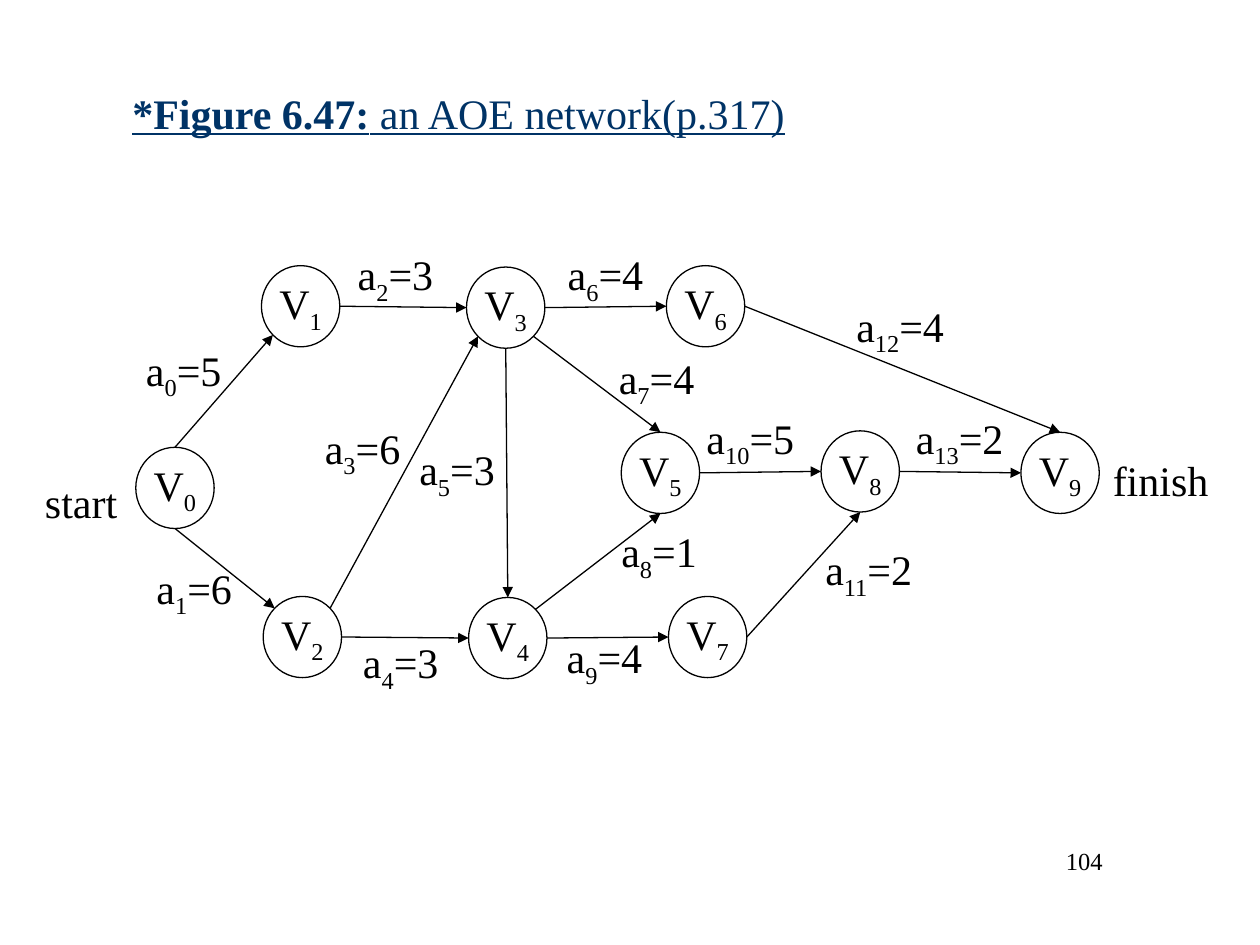
import math
from dataclasses import dataclass

import pptx
import pptx.dml.color
import pptx.enum.shapes
import pptx.enum.text
import pptx.oxml
import pptx.oxml.ns
import pptx.util
from pptx.util import Pt


@dataclass(frozen=True)
class Theme:
    font: str = "Times New Roman"
    ink: str = "000000"
    paper: str = "FFFFFF"
    heading: str = "003366"
    body_size: float = 24
    page_size: float = 14
    line_width: float = 0.75


THEME = Theme()
ALIGN = pptx.enum.text.PP_ALIGN
ANCHOR = pptx.enum.text.MSO_ANCHOR
FIT = pptx.enum.text.MSO_AUTO_SIZE
NODE_WIDTH, NODE_HEIGHT = 44.8, 46.4

# Centre of each vertex, V0 to V9
VERTICES = [
    (100, 278.8), (171.8, 175), (172.8, 364), (289, 175.8), (290.2, 364.6),
    (377.4, 270.2), (403.2, 175), (404.4, 364), (491.6, 269.4), (605.8, 270.2),
]

# Compass angles on a vertex, clockwise from its right side
RIGHT, LOWER_RIGHT, BOTTOM, LEFT = 0, 45, 90, 180
UPPER_LEFT, TOP, UPPER_RIGHT, LOWER_LEFT = 225, 270, 315, 135

# Activities a0 to a13: from vertex, side, to vertex, side, duration, label centre
ACTIVITIES = [
    (0, TOP, 1, LOWER_LEFT, 5, (105, 213)),
    (0, BOTTOM, 2, UPPER_LEFT, 6, (111, 337.8)),
    (1, RIGHT, 3, LEFT, 3, (226, 158.4)),
    (2, UPPER_RIGHT, 3, LOWER_LEFT, 6, (207.2, 257.8)),
    (2, RIGHT, 4, LEFT, 3, (229, 380.2)),
    (3, BOTTOM, 4, TOP, 3, (261.2, 270)),
    (3, RIGHT, 6, LEFT, 4, (346, 158.4)),
    (3, LOWER_RIGHT, 5, TOP, 4, (375.2, 217.6)),
    (4, UPPER_RIGHT, 5, BOTTOM, 1, (376.6, 316.8)),
    (4, RIGHT, 7, LEFT, 4, (345.4, 377.4)),
    (5, RIGHT, 8, LEFT, 5, (428.8, 252)),
    (7, RIGHT, 8, BOTTOM, 2, (496.4, 327)),
    (6, RIGHT, 9, TOP, 4, (514.4, 187.8)),
    (8, RIGHT, 9, LEFT, 2, (548.4, 252)),
]


def rgb(code):
    return pptx.dml.color.RGBColor.from_string(code)


def centred(centre, width, height):
    x, y = centre
    return Pt(x - width / 2), Pt(y - height / 2), Pt(width), Pt(height)


def add_span(para, text, size=THEME.body_size, color=THEME.ink):
    span = para.add_run()
    span.text = text
    span.font.name = THEME.font
    span.font.size = Pt(size)
    span.font.color.rgb = rgb(color)
    return span


def write_symbol(shape, letter, subscript="", ending=""):
    """Write a centred symbol with an optional subscript and ending."""
    frame = shape.text_frame
    frame.word_wrap = False
    frame.vertical_anchor = ANCHOR.MIDDLE
    para = frame.paragraphs[0]
    para.alignment = ALIGN.CENTER
    add_span(para, letter)
    if subscript:
        add_span(para, subscript).font._element.set("baseline", "-25000")
    if ending:
        add_span(para, ending)


def add_title(page):
    title = page.shapes.title
    title.left, title.top, title.width, title.height = Pt(68.4), Pt(19.4), Pt(612), Pt(90)
    frame = title.text_frame
    frame.auto_size = FIT.NONE
    frame.vertical_anchor = ANCHOR.MIDDLE
    para = frame.paragraphs[0]
    para.alignment = ALIGN.LEFT
    for text, bold in (("*Figure 6.47:", True), (" an AOE network(p.317)", False)):
        span = add_span(para, text, color=THEME.heading)
        span.font.bold = bold
        span.font.underline = True


def add_page_number(page, number):
    box = page.shapes.add_textbox(Pt(487.4), Pt(480.2), Pt(149.8), Pt(36))
    box.text_frame.word_wrap = True
    para = box.text_frame.paragraphs[0]
    para.alignment = ALIGN.RIGHT
    add_span(para, number, THEME.page_size)


def add_vertex(page, index, centre):
    node = page.shapes.add_shape(
        pptx.enum.shapes.MSO_SHAPE.OVAL, *centred(centre, NODE_WIDTH, NODE_HEIGHT))
    node.shadow.inherit = False
    node.fill.solid()
    node.fill.fore_color.rgb = rgb(THEME.paper)
    node.line.color.rgb = rgb(THEME.ink)
    node.line.width = Pt(THEME.line_width)
    write_symbol(node, "V", str(index))


def rim_point(vertex, angle):
    """Return the point on a vertex's outline at the given angle."""
    x, y = VERTICES[vertex]
    turn = math.radians(angle)
    return (Pt(x + NODE_WIDTH / 2 * math.cos(turn)),
            Pt(y + NODE_HEIGHT / 2 * math.sin(turn)))


def add_arrow(page, start, end):
    arrow = page.shapes.add_connector(
        pptx.enum.shapes.MSO_CONNECTOR.STRAIGHT, *start, *end)
    arrow.line.color.rgb = rgb(THEME.ink)
    arrow.line.width = Pt(THEME.line_width)
    qn = pptx.oxml.ns.qn
    properties = arrow._element.spPr
    outline = properties.find(qn("a:ln"))
    outline.append(outline.makeelement(qn("a:tailEnd"), {"type": "triangle"}))
    properties.append(properties.makeelement(qn("a:effectLst"), {}))


def add_label(page, centre, width, height, *parts):
    box = page.shapes.add_textbox(*centred(centre, width, height))
    write_symbol(box, *parts)
    box.text_frame.auto_size = FIT.SHAPE_TO_FIT_TEXT


def main():
    deck = pptx.Presentation()
    deck.slide_width, deck.slide_height = Pt(720), Pt(540)
    page = deck.slides.add_slide(deck.slide_layouts[5])
    add_title(page)
    add_page_number(page, "104")
    for index, centre in enumerate(VERTICES):
        add_vertex(page, index, centre)
    for index, (source, leave, target, enter, days, centre) in enumerate(ACTIVITIES):
        add_arrow(page, rim_point(source, leave), rim_point(target, enter))
        width = 58 if index < 10 else 66
        add_label(page, centre, width, 40, "a", str(index), f"={days}")
    add_label(page, (46.4, 286.6), 58, 36, "start")
    add_label(page, (663.2, 274.4), 70, 36, "finish")
    deck.save("out.pptx")


if __name__ == "__main__":
    main()
